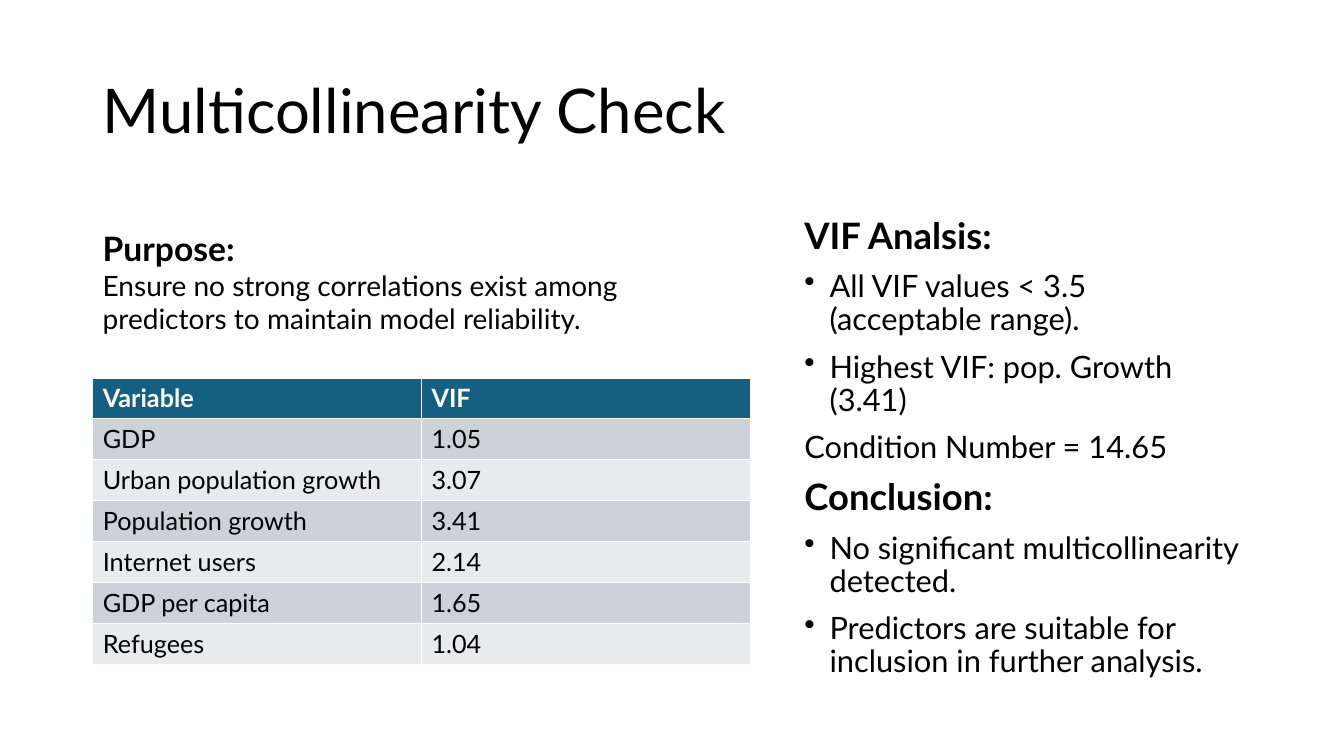
from dataclasses import dataclass

from lxml import etree
from pptx import Presentation
from pptx.dml.color import RGBColor
from pptx.enum.text import MSO_ANCHOR
from pptx.oxml.ns import qn
from pptx.util import Pt

TOP, MIDDLE = MSO_ANCHOR.TOP, MSO_ANCHOR.MIDDLE
EMU_PER_PX = 9144  # 100 px to the inch


@dataclass(frozen=True)
class Theme:
    font: str = "Lato"
    ink: str = "000000"
    header_ink: str = "FFFFFF"
    header_fill: str = "156082"
    bands: tuple = ("CCD2D8", "E8EAED")
    title: int = 44
    heading: int = 26
    body: int = 22
    purpose_heading: int = 24
    purpose_body: int = 20
    cell: int = 18


THEME = Theme()

SLIDE_SIZE = (1333, 750)
TITLE_BOX = (92, 40, 1150, 145)
PURPOSE_BOX = (92, 221, 652, 118)
VIF_TABLE_BOX = (92, 375, 652, 284)
ANALYSIS_BOX = (788, 211, 454, 476)
BULLET_INDENT = 25

# Each line: text, size, bold, bulleted
TITLE = [("Multicollinearity Check", THEME.title, False, False)]
PURPOSE = [
    ("Purpose:", THEME.purpose_heading, True, False),
    ("Ensure no strong correlations exist among predictors to maintain model reliability.",
     THEME.purpose_body, False, False),
]
ANALYSIS = [
    ("VIF Analsis:", THEME.heading, True, False),
    ("All VIF values < 3.5 (acceptable range).", THEME.body, False, True),
    ("Highest VIF: pop. Growth (3.41)", THEME.body, False, True),
    ("Condition Number = 14.65", THEME.body, False, False),
    ("Conclusion:", THEME.heading, True, False),
    ("No significant multicollinearity detected.", THEME.body, False, True),
    ("Predictors are suitable for inclusion in further analysis.", THEME.body, False, True),
]
VIF_ROWS = [
    ("Variable", "VIF"),
    ("GDP", "1.05"),
    ("Urban population growth", "3.07"),
    ("Population growth", "3.41"),
    ("Internet users", "2.14"),
    ("GDP per capita", "1.65"),
    ("Refugees", "1.04"),
]


def px(length):
    return length * EMU_PER_PX


def style(paragraph, size, bold, color):
    font = paragraph.font
    font.name, font.size, font.bold = THEME.font, Pt(size), bold
    font.color.rgb = RGBColor.from_string(color)


def add_bullet(paragraph):
    properties = paragraph._p.get_or_add_pPr()
    properties.set("marL", str(px(BULLET_INDENT)))
    properties.set("indent", str(-px(BULLET_INDENT)))
    bullet = etree.Element(qn("a:buChar"), char="•")
    defaults = properties.find(qn("a:defRPr"))
    if defaults is None:
        properties.append(bullet)
    else:
        defaults.addprevious(bullet)


def add_text(slide, box, lines, anchor=TOP, line_spacing=None, space_before=0):
    frame = slide.shapes.add_textbox(*map(px, box)).text_frame
    frame.word_wrap = True
    frame.vertical_anchor = anchor
    for index, (text, size, bold, bulleted) in enumerate(lines):
        paragraph = frame.add_paragraph() if index else frame.paragraphs[0]
        paragraph.text = text
        paragraph.line_spacing = line_spacing
        paragraph.space_before = Pt(space_before)
        style(paragraph, size, bold, THEME.ink)
        if bulleted:
            add_bullet(paragraph)


def add_vif_table(slide):
    table = slide.shapes.add_table(
        len(VIF_ROWS), len(VIF_ROWS[0]), *map(px, VIF_TABLE_BOX)).table
    for row, values in enumerate(VIF_ROWS):
        header = row == 0
        fill = THEME.header_fill if header else THEME.bands[(row - 1) % 2]
        ink = THEME.header_ink if header else THEME.ink
        for column, value in enumerate(values):
            cell = table.cell(row, column)
            cell.text = value
            cell.fill.solid()
            cell.fill.fore_color.rgb = RGBColor.from_string(fill)
            style(cell.text_frame.paragraphs[0], THEME.cell, header, ink)


def main():
    deck = Presentation()
    deck.slide_width, deck.slide_height = map(px, SLIDE_SIZE)
    slide = deck.slides.add_slide(deck.slide_layouts[6])
    add_text(slide, TITLE_BOX, TITLE, anchor=MIDDLE, line_spacing=0.9)
    add_text(slide, ANALYSIS_BOX, ANALYSIS, line_spacing=0.9, space_before=10)
    add_vif_table(slide)
    add_text(slide, PURPOSE_BOX, PURPOSE)
    deck.save("out.pptx")


if __name__ == "__main__":
    main()
